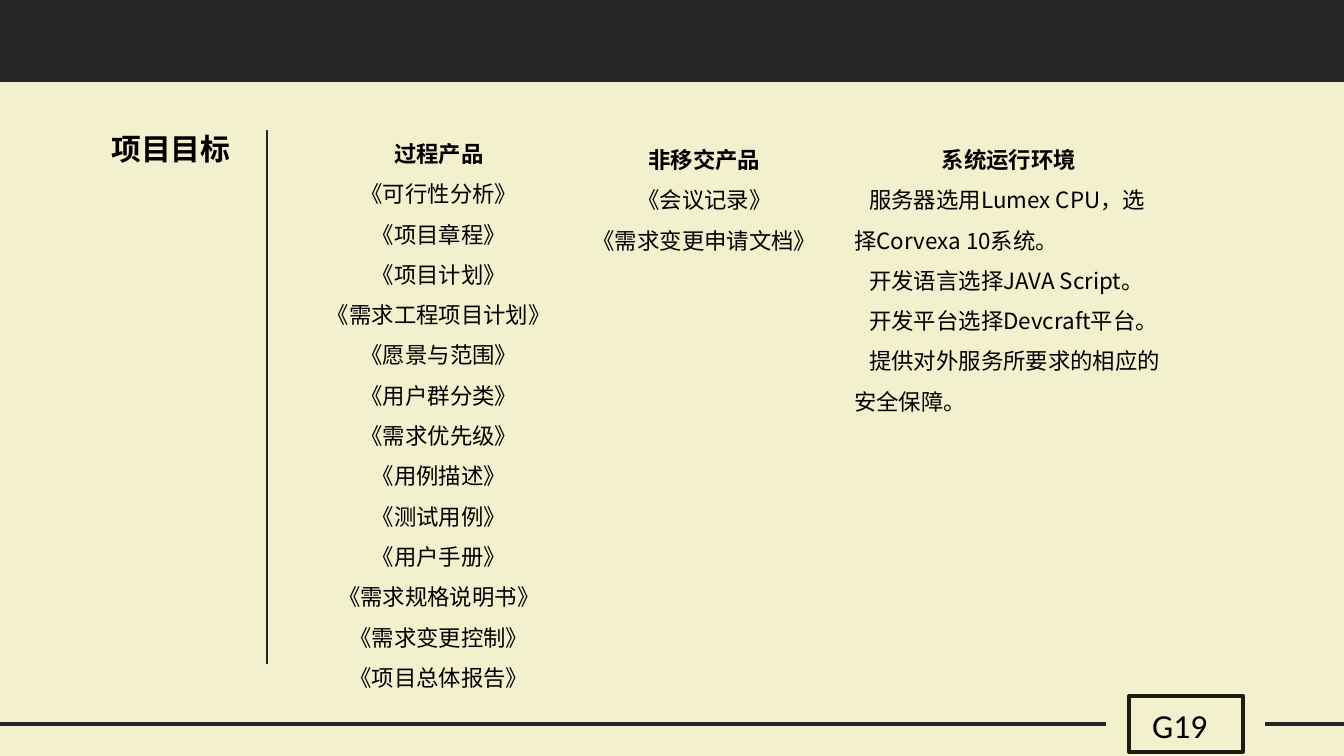
from dataclasses import dataclass
from typing import Optional

from lxml.etree import SubElement
from pptx import Presentation
from pptx.dml.color import RGBColor
from pptx.enum.shapes import MSO_CONNECTOR, MSO_SHAPE
from pptx.enum.text import MSO_AUTO_SIZE, PP_ALIGN
from pptx.oxml.ns import qn
from pptx.slide import Slide
from pptx.util import Emu, Pt

EMU_PER_PX = 914400 / 134.4


@dataclass(frozen=True)
class Theme:
    background: RGBColor = RGBColor(0xF3, 0xF0, 0xCD)
    dark: RGBColor = RGBColor(0x26, 0x26, 0x26)
    frame: RGBColor = RGBColor(0x1E, 0x1C, 0x11)
    text: RGBColor = RGBColor(0, 0, 0)
    body_font: str = "Noto Sans CJK SC"
    group_font: str = "Calibri"
    title_size: int = 16
    body_size: int = 12
    group_size: int = 18


@dataclass(frozen=True)
class Box:
    left: int
    top: int
    width: int
    height: int


@dataclass(frozen=True)
class Line:
    text: str
    size: int
    font: str
    bold: bool = False
    align: PP_ALIGN = PP_ALIGN.CENTER
    spacing: float = 1.0
    indent: int = 0


@dataclass(frozen=True)
class Column:
    box: Box
    heading: str
    entries: tuple[str, ...]
    align: PP_ALIGN = PP_ALIGN.CENTER
    indent: int = 0
    wrap: bool = True


@dataclass(frozen=True)
class Rule:
    x1: int
    y1: int
    x2: int
    y2: int
    weight: float


THEME = Theme()

RULES = (
    Rule(0, 724, 1106, 724, 1.75),
    Rule(1265, 724, 1344, 724, 1.75),
    Rule(267, 130, 267, 664, 1.25),
)

PROCESS_DOCUMENTS = (
    "可行性分析", "项目章程", "项目计划", "需求工程项目计划", "愿景与范围",
    "用户群分类", "需求优先级", "用例描述", "测试用例", "用户手册",
    "需求规格说明书", "需求变更控制", "项目总体报告",
)
INTERNAL_DOCUMENTS = ("会议记录", "需求变更申请文档")
ENVIRONMENT = (
    "服务器选用Lumex CPU，选择Corvexa 10系统。",
    "开发语言选择JAVA Script。",
    "开发平台选择Devcraft平台。",
    "提供对外服务所要求的相应的安全保障。",
)


def titled(names: tuple[str, ...]) -> tuple[str, ...]:
    return tuple(f"《{name}》" for name in names)


COLUMNS = (
    Column(Box(312, 120, 254, 590), "过程产品", titled(PROCESS_DOCUMENTS)),
    Column(Box(578, 126, 253, 130), "非移交产品", titled(INTERNAL_DOCUMENTS), wrap=False),
    Column(Box(841, 126, 336, 298), "系统运行环境", ENVIRONMENT, PP_ALIGN.LEFT, 15),
)


def px(length: int) -> Emu:
    return Emu(round(length * EMU_PER_PX))


def place(box: Box) -> tuple[Emu, Emu, Emu, Emu]:
    return px(box.left), px(box.top), px(box.width), px(box.height)


def draw_rectangle(slide: Slide, box: Box, fill: Optional[RGBColor] = None,
                   outline: Optional[RGBColor] = None, weight: float = 0) -> None:
    rectangle = slide.shapes.add_shape(MSO_SHAPE.RECTANGLE, *place(box))
    rectangle.shadow.inherit = False
    if fill is None:
        rectangle.fill.background()
    else:
        rectangle.fill.solid()
        rectangle.fill.fore_color.rgb = fill
    if outline is None:
        rectangle.line.fill.background()
    else:
        rectangle.line.color.rgb = outline
        rectangle.line.width = Pt(weight)


def draw_rule(slide: Slide, rule: Rule) -> None:
    connector = slide.shapes.add_connector(
        MSO_CONNECTOR.STRAIGHT, px(rule.x1), px(rule.y1), px(rule.x2), px(rule.y2))
    connector.line.color.rgb = THEME.dark
    connector.line.width = Pt(rule.weight)
    SubElement(connector._element.spPr, qn("a:effectLst"))


def draw_text(slide: Slide, box: Box, lines: list[Line], wrap: bool = False) -> None:
    frame = slide.shapes.add_textbox(*place(box)).text_frame
    frame.word_wrap = wrap
    frame.auto_size = MSO_AUTO_SIZE.SHAPE_TO_FIT_TEXT
    for index, line in enumerate(lines):
        paragraph = frame.add_paragraph() if index else frame.paragraphs[0]
        paragraph.text = line.text
        paragraph.alignment = line.align
        paragraph.line_spacing = line.spacing
        paragraph.font.size = Pt(line.size)
        paragraph.font.bold = line.bold
        paragraph.font.color.rgb = THEME.text
        paragraph.font.name = line.font
        properties = paragraph._p.get_or_add_pPr()
        properties.set("indent", str(px(line.indent)))
        SubElement(properties.find(qn("a:defRPr")), qn("a:ea"), typeface=line.font)


def draw_column(slide: Slide, column: Column) -> None:
    heading = Line(column.heading, THEME.body_size, THEME.body_font, bold=True, spacing=1.5)
    entries = [
        Line(entry, THEME.body_size, THEME.body_font, align=column.align,
             spacing=1.5, indent=column.indent)
        for entry in column.entries
    ]
    draw_text(slide, column.box, [heading, *entries], column.wrap)


def main() -> None:
    presentation = Presentation()
    presentation.slide_width = px(1344)
    presentation.slide_height = px(756)
    slide = presentation.slides.add_slide(presentation.slide_layouts[6])
    slide.background.fill.solid()
    slide.background.fill.fore_color.rgb = THEME.background

    draw_rectangle(slide, Box(0, 0, 1344, 82), fill=THEME.dark)
    for rule in RULES:
        draw_rule(slide, rule)
    draw_text(slide, Box(97, 124, 148, 50),
              [Line("项目目标", THEME.title_size, THEME.body_font, bold=True)])
    for column in COLUMNS:
        draw_column(slide, column)
    draw_rectangle(slide, Box(1129, 696, 114, 56), outline=THEME.frame, weight=2)
    draw_text(slide, Box(1132, 698, 91, 54),
              [Line("G19", THEME.group_size, THEME.group_font,
                    align=PP_ALIGN.LEFT, indent=7)])
    presentation.save("out.pptx")


if __name__ == "__main__":
    main()
